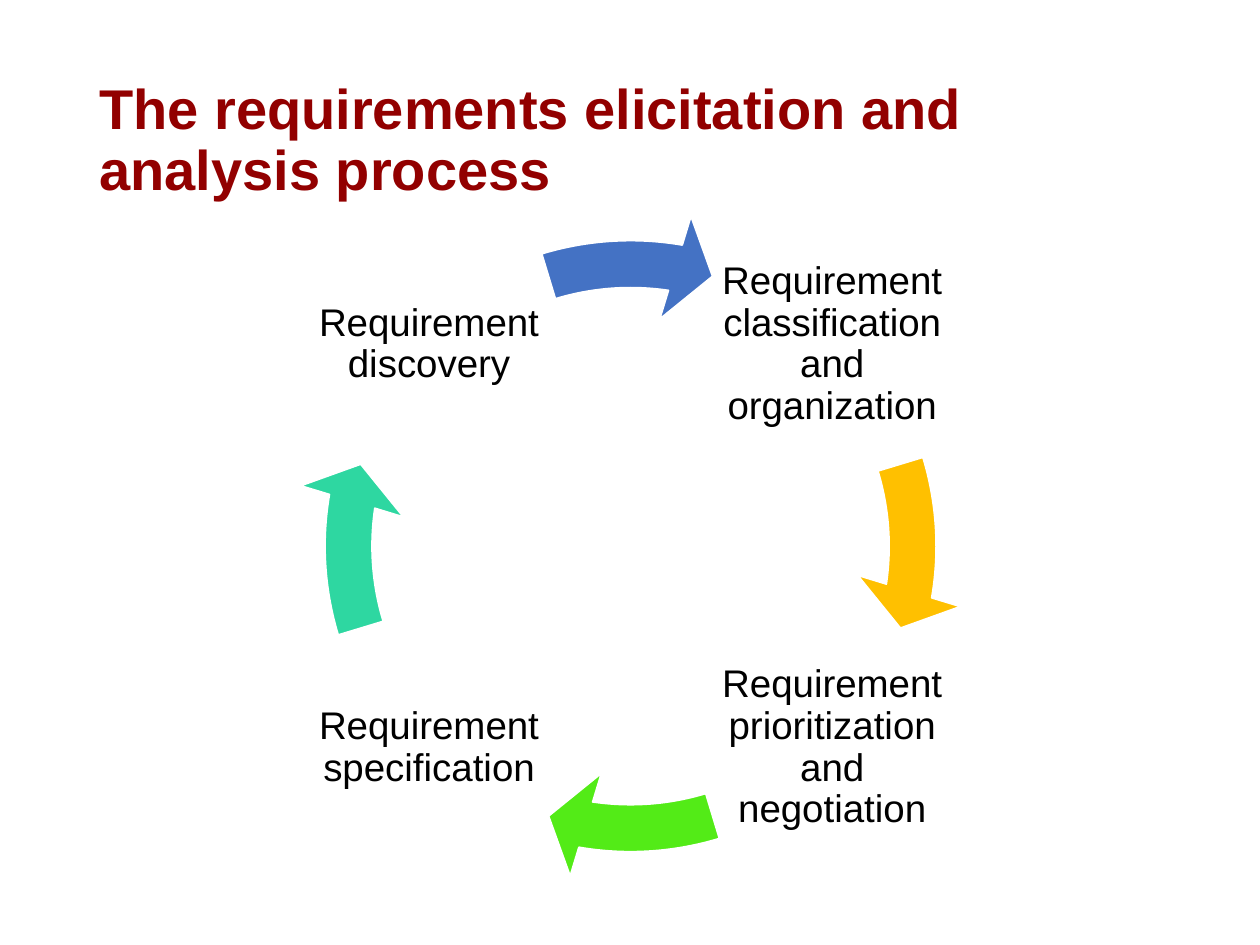
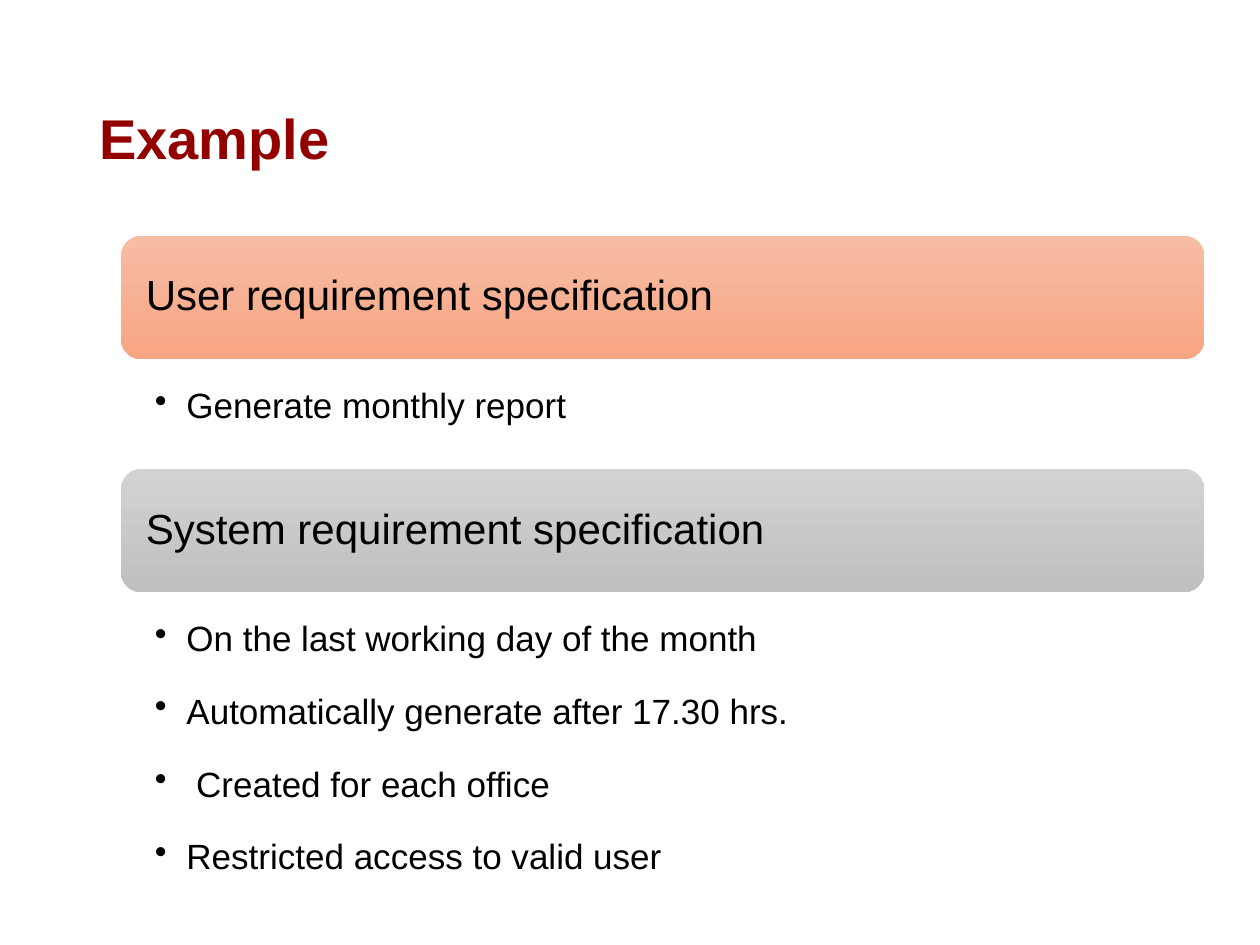
import pptx
import pptx.util
import pptx.dml.color
import pptx.enum.shapes
import pptx.enum.text
import pptx.oxml.ns
import lxml.etree

Inches = pptx.util.Inches
Pt = pptx.util.Pt
RGBColor = pptx.dml.color.RGBColor
SHAPE = pptx.enum.shapes.MSO_SHAPE
ALIGN = pptx.enum.text.PP_ALIGN
ANCHOR = pptx.enum.text.MSO_ANCHOR

FONT = "Arial"
RED = RGBColor(0x92, 0x00, 0x00)
BLACK = RGBColor(0x00, 0x00, 0x00)
WHITE = RGBColor(0xFF, 0xFF, 0xFF)
GOLD = RGBColor(0xFF, 0xC0, 0x00)
GREEN = RGBColor(0x53, 0xEB, 0x17)
TEAL = RGBColor(0x2E, 0xD7, 0xA1)
BLUE = RGBColor(0x44, 0x72, 0xC4)
PEACH = RGBColor(0xF7, 0xBD, 0xA5)
CORAL = RGBColor(0xF8, 0xA5, 0x82)
SILVER = RGBColor(0xD2, 0xD2, 0xD2)
GREY = RGBColor(0xC0, 0xC0, 0xC0)


class Deck:
    def __init__(self):
        self.show = pptx.Presentation()
        self.show.slide_width = Inches(10)
        self.show.slide_height = Inches(7.5)
        self.slide = None

    def page(self, title):
        """Start a slide with the shared title style."""
        self.slide = self.show.slides.add_slide(self.show.slide_layouts[6])
        box = self.box(0.69, 0.4, 8.62, 1.45)
        self.letter(box, [title], 32, color=RED, bold=True, pads=(0.1, 0.05, 0.1, 0.05))

    def box(self, left, top, width, height):
        return self.slide.shapes.add_textbox(
            Inches(left), Inches(top), Inches(width), Inches(height))

    def shape(self, kind, left, top, width, height):
        item = self.slide.shapes.add_shape(
            kind, Inches(left), Inches(top), Inches(width), Inches(height))
        item.shadow.inherit = False
        return item

    def letter(self, item, lines, size, color=BLACK, bold=False, align=ALIGN.LEFT,
               anchor=ANCHOR.MIDDLE, pads=(0.03,) * 4, pitch=0.9, after=0, dots=False):
        """Fill an item with paragraphs; pads are left, top, right, bottom."""
        frame = item.text_frame
        frame.word_wrap = True
        frame.vertical_anchor = anchor
        (frame.margin_left, frame.margin_top,
         frame.margin_right, frame.margin_bottom) = map(Inches, pads)
        for index, line in enumerate(lines):
            para = frame.add_paragraph() if index else frame.paragraphs[0]
            para.text = line
            if dots:
                self.dot(para)
            para.alignment = align
            para.line_spacing = pitch
            para.space_after = Pt(after)
            para.font.name = FONT
            para.font.size = Pt(size)
            para.font.bold = bold
            para.font.color.rgb = color

    def dot(self, para):
        props = para._p.get_or_add_pPr()
        props.set("marL", str(Inches(0.25)))
        props.set("indent", str(Inches(-0.25)))
        mark = lxml.etree.SubElement(props, pptx.oxml.ns.qn("a:buChar"))
        mark.set("char", "•")

    def label(self, text, left, top):
        self.letter(self.box(left, top, 1.89, 1.89), [text], 22, align=ALIGN.CENTER)

    def arrow(self, turn, color):
        """Draw a cycle arrow, moved on by a number of quarter turns."""
        item = self.shape(SHAPE.CIRCULAR_ARROW, 2.34, 1.67, 5.33, 5.33)
        # Angles are in units of 5/3 degree: 54 is a quarter, 216 a full turn.
        tip = 5.48 + 54 * turn
        tail = (205.86 + 54 * turn) % 216
        for index, value in enumerate((0.07, 4.66, tip, tail, 0.08)):
            item.adjustments[index] = value
        item.fill.solid()
        item.fill.fore_color.rgb = color
        item.line.color.rgb = WHITE
        item.line.width = Pt(1)

    def band(self, text, top, light, dark):
        item = self.shape(SHAPE.ROUNDED_RECTANGLE, 0.96, top, 8.6, 0.98)
        item.line.fill.background()
        item.fill.gradient()
        item.fill.gradient_angle = 270
        for stop, color in zip(item.fill.gradient_stops, (light, dark)):
            stop.color.rgb = color
        self.letter(item, [text], 24, pads=(0.15, 0.1, 0.15, 0.1))

    def points(self, lines, top, height):
        self.letter(self.box(0.96, top, 8.6, height), lines, 20, anchor=ANCHOR.TOP,
                    pads=(0.27, 0.03, 0.16, 0.03), pitch=1.5, after=5.5, dots=True)


def cycle(deck):
    deck.page("The requirements elicitation and analysis process")
    west, east, north, south = 2.46, 5.66, 1.79, 4.99
    steps = [
        ("Requirement classification and organization", east, north, GOLD),
        ("Requirement prioritization and negotiation", east, south, GREEN),
        ("Requirement specification", west, south, TEAL),
        ("Requirement discovery", west, north, BLUE),
    ]
    for turn, (text, left, top, color) in enumerate(steps):
        deck.label(text, left, top)
        deck.arrow(turn, color)


def sample(deck):
    deck.page("Example")
    deck.band("User requirement specification", 1.87, PEACH, CORAL)
    deck.points(["Generate monthly report"], 2.85, 0.87)
    deck.band("System requirement specification", 3.72, SILVER, GREY)
    deck.points([
        "On the last working day of the month",
        "Automatically generate after 17.30 hrs.",
        " Created for each office",
        "Restricted access to valid user",
    ], 4.7, 2.17)


def main():
    deck = Deck()
    cycle(deck)
    sample(deck)
    deck.show.save("out.pptx")


if __name__ == "__main__":
    main()
